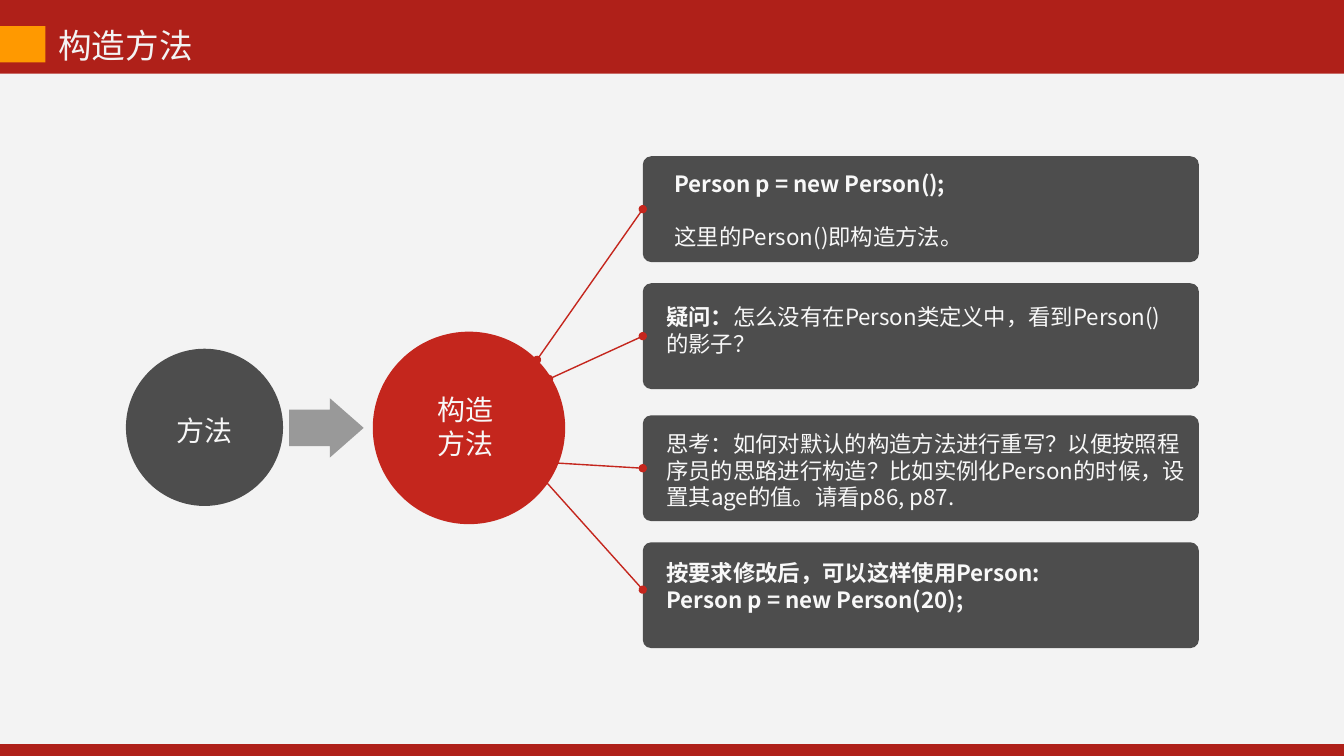
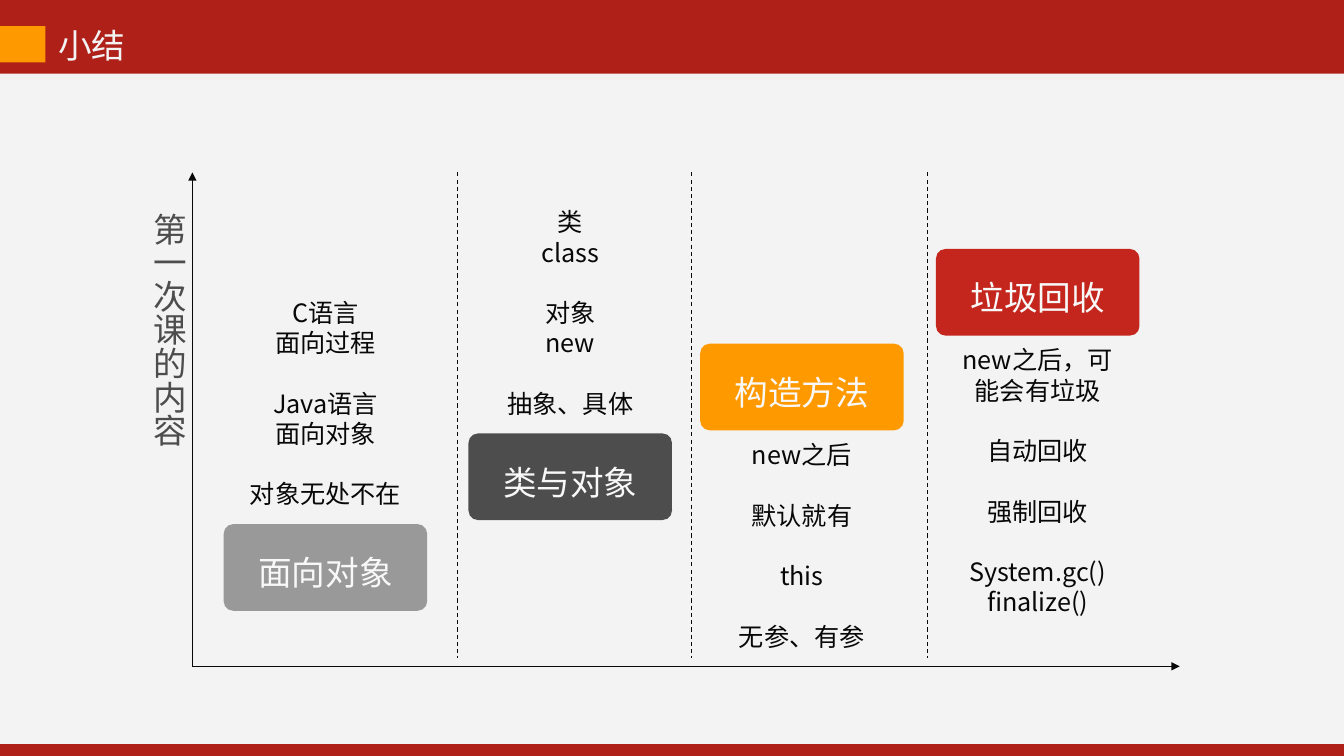
"""Build two slides about constructors and a lesson summary."""
from lxml import etree
from pptx import Presentation
from pptx.dml.color import RGBColor
from pptx.enum.dml import MSO_LINE
from pptx.enum.shapes import MSO_CONNECTOR, MSO_SHAPE
from pptx.enum.text import MSO_ANCHOR, MSO_AUTO_SIZE, PP_ALIGN
from pptx.oxml.ns import qn
from pptx.util import Inches, Pt

COLORS = {
    "band": "AF2019", "paper": "F3F3F3", "orange": "FF9900", "red": "C4261D",
    "dark": "4D4D4D", "grey": "999999", "white": "F8F8F8", "black": "080808",
}
RECT, ROUND = MSO_SHAPE.RECTANGLE, MSO_SHAPE.ROUNDED_RECTANGLE
OVAL, ARROW = MSO_SHAPE.OVAL, MSO_SHAPE.RIGHT_ARROW
STRAIGHT, DASH = MSO_CONNECTOR.STRAIGHT, MSO_LINE.DASH
TOP, MIDDLE = MSO_ANCHOR.TOP, MSO_ANCHOR.MIDDLE
LEFT, CENTER = PP_ALIGN.LEFT, PP_ALIGN.CENTER
NO_FIT = MSO_AUTO_SIZE.NONE
FONT, STEP_FONT = "Noto Sans CJK SC", "Arial"
WIDTH, HEIGHT = 13.34, 7.5
LINE_PITCH = 1.2
INSETS = (0.1, 0.05, 0.1, 0.05)
LEFT_SIDE = 1


def color(name):
    return RGBColor.from_string(COLORS[name])


class Lesson:
    """Hold the deck style and the current page."""

    def __init__(self):
        self.deck = Presentation()
        self.deck.slide_width = Inches(WIDTH)
        self.deck.slide_height = Inches(HEIGHT)
        fill = self.deck.slide_master.background.fill
        fill.solid()
        fill.fore_color.rgb = color("band")
        self.page = None

    def add_page(self, title):
        self.page = self.deck.slides.add_slide(self.deck.slide_layouts[5])
        self.shape(RECT, (0, 0.73, WIDTH, 6.65), "paper")
        self.shape(RECT, (0, 0.26, 0.45, 0.36), "orange")
        heading = self.page.shapes.title
        heading.left, heading.top, heading.width, heading.height = map(
            Inches, (0.48, 0.2, 8, 0.5))
        self.set_text(heading, [[title]], 24, "paper")

    def set_text(self, box, blocks, size, ink, align=LEFT, anchor=TOP,
                 insets=INSETS, font=FONT):
        """Fill a box with blocks of paragraphs, with text between ** in bold."""
        frame = box.text_frame
        margins = zip(("left", "top", "right", "bottom"), insets)
        settings = {f"margin_{side}": Inches(value) for side, value in margins}
        settings.update(word_wrap=True, auto_size=NO_FIT, vertical_anchor=anchor)
        for name, value in settings.items():
            setattr(frame, name, value)
        pitch = Pt(size * LINE_PITCH)
        lines = [(text, number > 0 and position == 0)
                 for number, block in enumerate(blocks)
                 for position, text in enumerate(block)]
        for index, (text, gap) in enumerate(lines):
            para = frame.add_paragraph() if index else frame.paragraphs[0]
            layout = {"alignment": align, "line_spacing": pitch,
                      "space_before": pitch if gap else Pt(0)}
            for name, value in layout.items():
                setattr(para, name, value)
            for part, words in enumerate(text.split("**")):
                if words:
                    self.add_span(para, words, size, ink, part % 2 == 1, font)

    def add_span(self, para, words, size, ink, bold, font):
        span = para.add_run()
        span.text = words
        for name, value in {"name": font, "size": Pt(size), "bold": bold}.items():
            setattr(span.font, name, value)
        span.font.color.rgb = color(ink)
        latin = span.font._element.find(qn("a:latin"))
        asian = etree.Element(qn("a:ea"), typeface=FONT)
        latin.addnext(asian)

    def shape(self, kind, place, fill, adjustments=()):
        box = self.page.shapes.add_shape(kind, *map(Inches, place))
        box.shadow.inherit = False
        box.fill.solid()
        box.fill.fore_color.rgb = color(fill)
        box.line.fill.background()
        for index, value in enumerate(adjustments):
            box.adjustments[index] = value
        return box

    def label(self, place, blocks, size, ink, align=LEFT, vertical=False):
        box = self.page.shapes.add_textbox(*map(Inches, place))
        self.set_text(box, blocks, size, ink, align)
        if vertical:
            box.text_frame._txBody.bodyPr.set("vert", "eaVert")

    def line(self, start, end, ink, weight, dash=None, head=None, tail=None):
        link = self.page.shapes.add_connector(
            STRAIGHT, *map(Inches, (*start, *end)))
        link.line.color.rgb = color(ink)
        link.line.width = Pt(weight)
        if dash:
            link.line.dash_style = dash
        outline = link.line._get_or_add_ln()
        for tag, ending in (("a:headEnd", head), ("a:tailEnd", tail)):
            if ending:
                etree.SubElement(outline, qn(tag), type=ending)
        etree.SubElement(link._element.spPr, qn("a:effectLst"))
        return link


def build_constructor(lesson):
    lesson.add_page("构造方法")
    lesson.shape(ARROW, (2.87, 3.95, 0.74, 0.59), "grey", (0.61, 0.57))
    method = lesson.shape(OVAL, (1.25, 3.46, 1.56, 1.56), "dark")
    lesson.set_text(method, [["方法"]], 20, "white", CENTER, MIDDLE,
                    (0, 0.05, 0, 0))
    card_left, card_width, card_height = 6.38, 5.52, 1.05
    cards = [
        (1.55, (0.29, 0.11, 0.07, 0), (5.33, 3.57), 2.07, True,
         [["**Person p = new Person();**"], ["这里的Person()即构造方法。"]]),
        (2.81, (0.21, 0.17, 0.27, 0), (5.45, 3.76), 3.33, True,
         [["**疑问：**怎么没有在Person类定义中，看到Person()的影子？"]]),
        (4.12, (0.21, 0.12, 0.07, 0), (5.46, 4.59), 4.64, True,
         [["思考：如何对默认的构造方法进行重写？以便按照程序员的思路进行构造？"
           "比如实例化Person的时候，设置其age的值。请看p86, p87."]]),
        (5.38, (0.21, 0.14, 0.07, 0), (5.33, 4.68), 5.85, False,
         [["**按要求修改后，可以这样使用Person:**",
           "**Person p = new Person(20);**"]]),
    ]
    for top, insets, start, end_height, joined, blocks in cards:
        card = lesson.shape(
            ROUND, (card_left, top, card_width, card_height), "dark", (0.08,))
        lesson.set_text(card, blocks, 16, "white", insets=insets)
        link = lesson.line(start, (card_left, end_height), "red", 1,
                           head="oval", tail="oval")
        if joined:
            link.end_connect(card, LEFT_SIDE)
    constructor = lesson.shape(OVAL, (3.7, 3.29, 1.91, 1.91), "red")
    lesson.set_text(constructor, [["构造", "方法"]], 20, "white", CENTER, MIDDLE,
                    (0, 0, 0.07, 0.03))


def build_summary(lesson):
    lesson.add_page("小结")
    origin = (1.91, 6.61)
    for end in ((1.91, 1.71), (11.71, 6.61)):
        lesson.line(origin, end, "black", 0.75, tail="triangle")
    for x in (4.54, 6.86, 9.21):
        lesson.line((x, 1.71), (x, 6.53), "black", 0.75, DASH)
    lesson.label((1.32, 2.01, 0.61, 2.71), [["第一次课的内容"]], 24, "dark",
                 vertical=True)
    above, below = -2.3, 0.9
    steps = [
        ("面向对象", 2.22, 5.2, "grey", above,
         [["C语言", "面向过程"], ["Java语言", "面向对象"], ["对象无处不在"]]),
        ("类与对象", 4.65, 4.3, "dark", above,
         [["类", "class"], ["对象", "new"], ["抽象、具体"]]),
        ("构造方法", 6.95, 3.41, "orange", below,
         [["new之后"], ["默认就有"], ["this"], ["无参、有参"]]),
        ("垃圾回收", 9.29, 2.47, "red", below,
         [["new之后，可能会有垃圾"], ["自动回收"], ["强制回收"],
          ["System.gc()", "finalize()"]]),
    ]
    for name, left, top, fill, offset, blocks in steps:
        step = lesson.shape(ROUND, (left, top, 2.02, 0.86), fill, (0.11,))
        lesson.set_text(step, [[name]], 24, "white", CENTER, MIDDLE,
                        (0, 0.1, 0, 0), STEP_FONT)
        lesson.label((left + 0.15, top + offset, 1.72, 2.22), blocks, 18,
                     "black", CENTER)


def main():
    lesson = Lesson()
    build_constructor(lesson)
    build_summary(lesson)
    lesson.deck.save("out.pptx")


if __name__ == "__main__":
    main()
